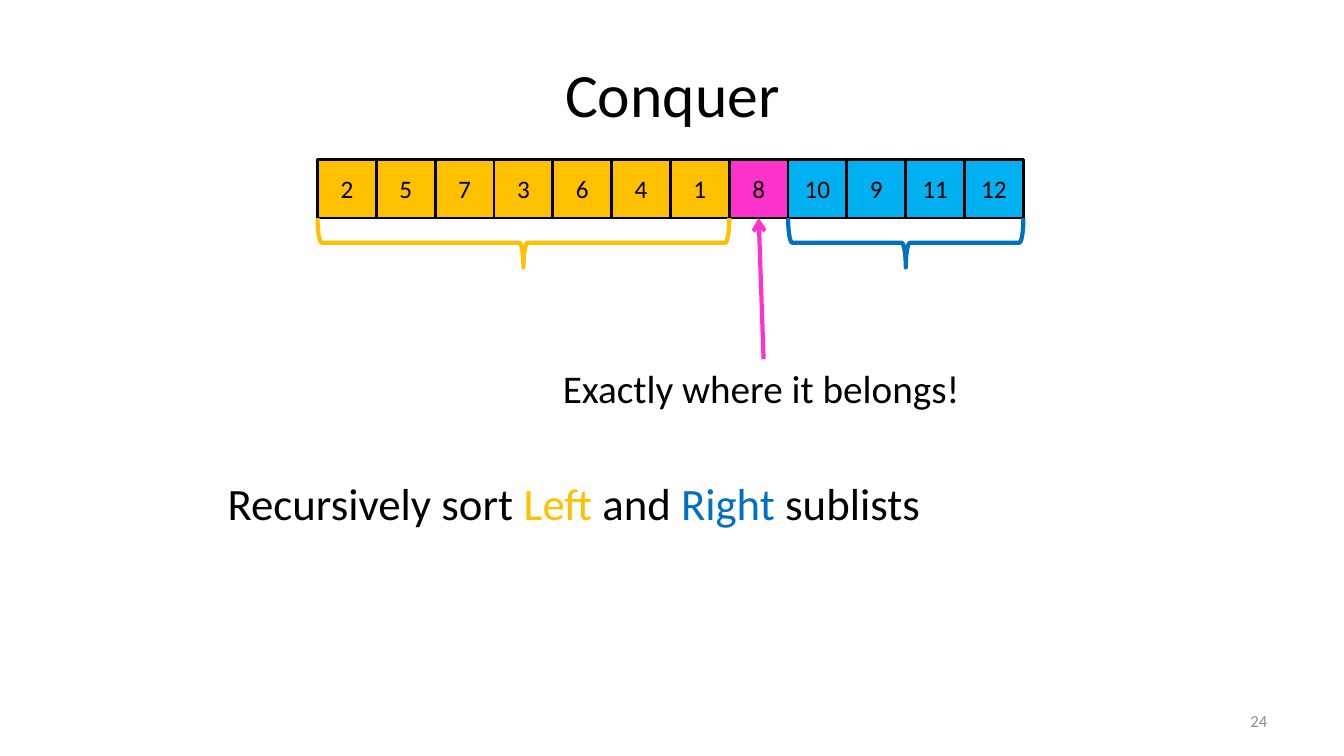
from lxml import etree
from pptx import Presentation
from pptx.dml.color import RGBColor
from pptx.enum.shapes import MSO_CONNECTOR, MSO_SHAPE
from pptx.enum.text import MSO_ANCHOR, MSO_AUTO_SIZE, PP_ALIGN
from pptx.oxml.ns import qn
from pptx.util import Inches, Pt

RECTANGLE = MSO_SHAPE.RECTANGLE
BRACE = MSO_SHAPE.RIGHT_BRACE
STRAIGHT = MSO_CONNECTOR.STRAIGHT
MIDDLE, TOP = MSO_ANCHOR.MIDDLE, MSO_ANCHOR.TOP
LEFT, CENTER, RIGHT = PP_ALIGN.LEFT, PP_ALIGN.CENTER, PP_ALIGN.RIGHT
NO_AUTOFIT = MSO_AUTO_SIZE.NONE

FONT = "Calibri"
BLACK, GRAY = "000000", "8C8C8C"
GOLD, PINK, SKY, BLUE = "FFC000", "FF33CC", "00B0F0", "0070C0"

LEFT_LIST = [2, 5, 7, 3, 6, 4, 1]
PIVOT = 8
RIGHT_LIST = [10, 9, 11, 12]
CELL = 7 / 12
BRACE_DEPTH = 0.49


def color(value):
    return RGBColor.from_string(value)


def write(shape, runs, size, align=LEFT, anchor=TOP, wrap=True):
    """Fill a shape with one paragraph made of (text, color) runs."""
    frame = shape.text_frame
    frame.auto_size = NO_AUTOFIT
    frame.word_wrap = wrap
    frame.vertical_anchor = anchor
    paragraph = frame.paragraphs[0]
    paragraph.alignment = align
    paragraph.font.name = FONT
    paragraph.font.size = Pt(size)
    for text, run_color in runs:
        run = paragraph.add_run()
        run.text = text
        run.font.color.rgb = color(run_color)


def add_title(slide, box, text):
    title = slide.shapes.title
    title.left, title.top, title.width, title.height = map(Inches, box)
    write(title, [(text, BLACK)], 44, CENTER, MIDDLE)


def add_text(slide, box, runs, size, **layout):
    write(slide.shapes.add_textbox(*map(Inches, box)), runs, size, **layout)


def add_cells(slide, left, top, values, fill):
    for index, value in enumerate(values):
        cell = slide.shapes.add_shape(
            RECTANGLE, Inches(left + index * CELL), Inches(top), Inches(CELL), Inches(CELL))
        cell.shadow.inherit = False
        cell.fill.solid()
        cell.fill.fore_color.rgb = color(fill)
        cell.line.color.rgb = color(BLACK)
        cell.line.width = Pt(2)
        write(cell, [(str(value), BLACK)], 18, CENTER, MIDDLE)


def add_brace_below(slide, left, top, span, line_color):
    """Turn a right brace by 90 degrees so that it hangs under the span."""
    brace = slide.shapes.add_shape(
        BRACE, Inches(left + (span - BRACE_DEPTH) / 2), Inches(top + (BRACE_DEPTH - span) / 2),
        Inches(BRACE_DEPTH), Inches(span))
    brace.rotation = 90
    brace.shadow.inherit = False
    brace.fill.background()
    brace.line.color.rgb = color(line_color)
    brace.line.width = Pt(3)


def add_arrow(slide, start, end, line_color):
    arrow = slide.shapes.add_connector(STRAIGHT, *map(Inches, start + end))
    arrow.line.color.rgb = color(line_color)
    arrow.line.width = Pt(3)
    etree.SubElement(arrow.line._get_or_add_ln(), qn("a:tailEnd"), type="arrow")
    etree.SubElement(arrow._element.spPr, qn("a:effectLst"))


def add_partitioned_list(slide, left, top):
    pivot_left = left + len(LEFT_LIST) * CELL
    right_left = pivot_left + CELL
    bottom = top + CELL
    add_cells(slide, left, top, LEFT_LIST, GOLD)
    add_cells(slide, pivot_left, top, [PIVOT], PINK)
    add_cells(slide, right_left, top, RIGHT_LIST, SKY)
    add_brace_below(slide, left, bottom, len(LEFT_LIST) * CELL, GOLD)
    add_brace_below(slide, right_left, bottom, len(RIGHT_LIST) * CELL, BLUE)
    add_text(slide, (pivot_left - 1.75, bottom + 1.4, 4.18, 0.57),
             [("Exactly where it belongs!", BLACK)], 28, wrap=False)
    add_arrow(slide, (pivot_left + 0.34, bottom + 1.4),
              (pivot_left + CELL / 2, bottom), PINK)


def main():
    presentation = Presentation()
    presentation.slide_width = Inches(13.33)
    presentation.slide_height = Inches(7.5)
    slide = presentation.slides.add_slide(presentation.slide_layouts.get_by_name("Title Only"))
    add_title(slide, (0.67, 0.3, 12, 1.25), "Conquer")
    add_text(slide, (9.56, 6.95, 3.11, 0.4), [("24", GRAY)], 12, align=RIGHT, anchor=MIDDLE)
    add_partitioned_list(slide, 3.15, 1.58)
    add_text(slide, (2.16, 4.67, 9, 0.75),
             [("Recursively sort ", BLACK), ("Left", GOLD), (" and ", BLACK),
              ("Right ", BLUE), ("sublists", BLACK)], 32)
    presentation.save("out.pptx")


if __name__ == "__main__":
    main()
